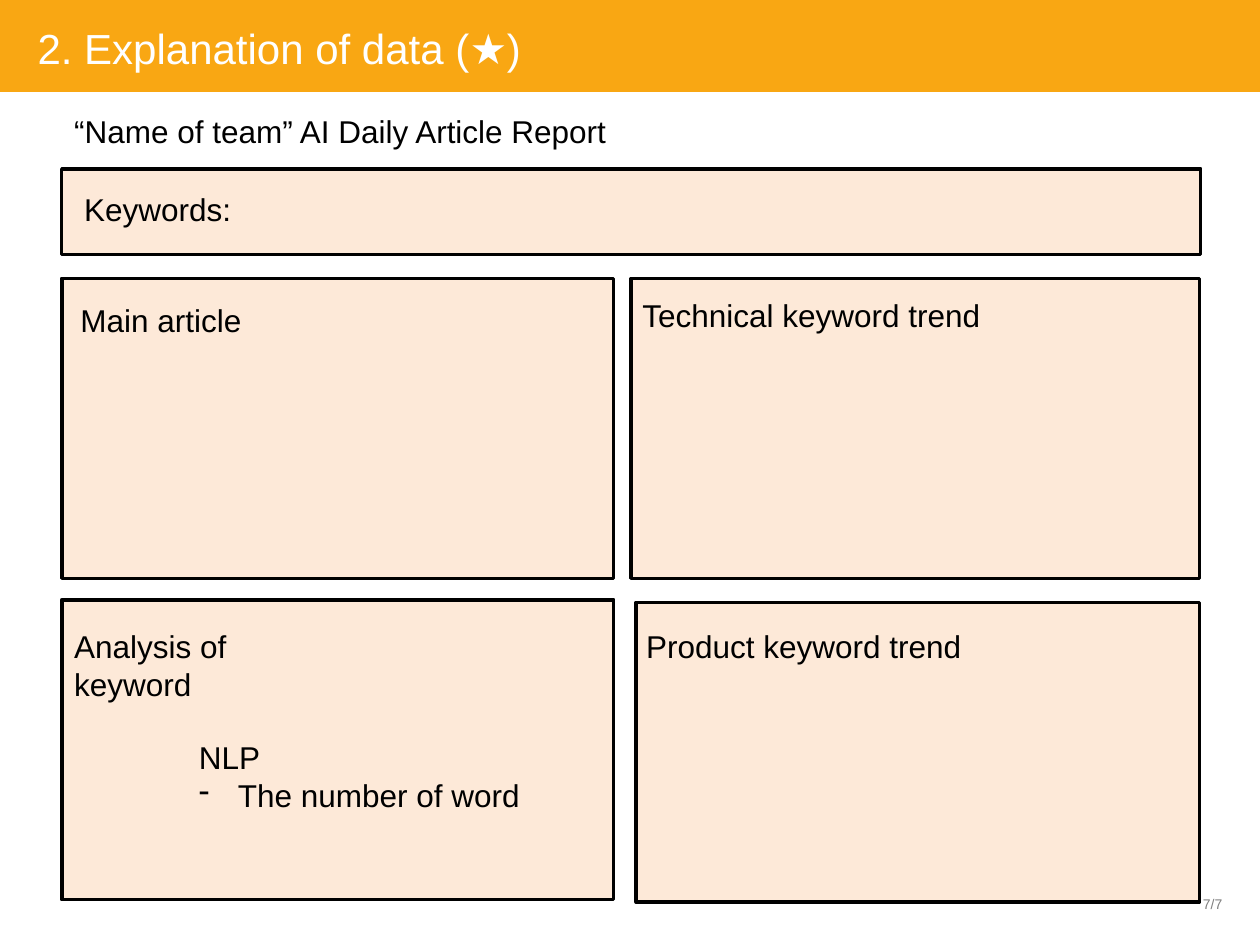
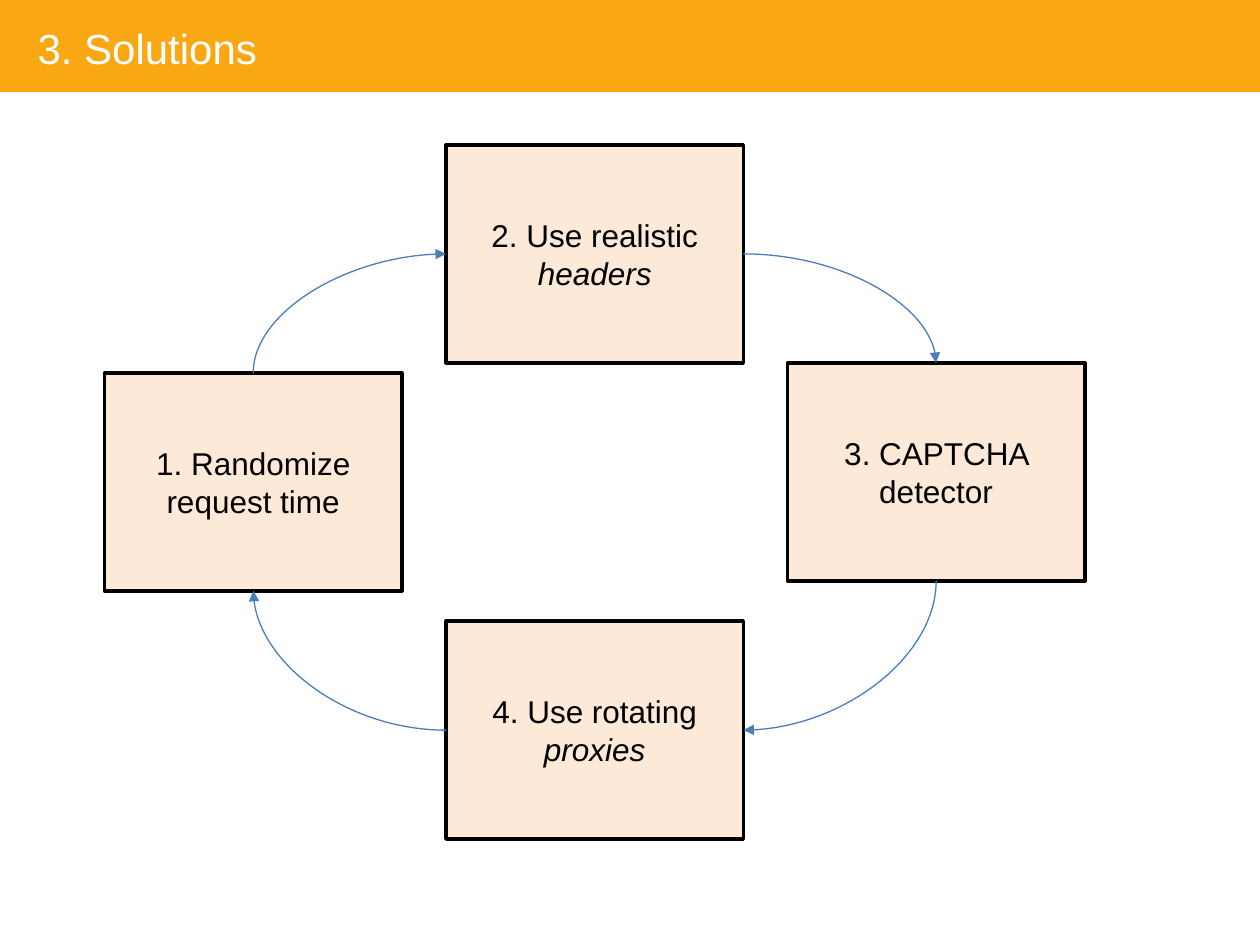
"""Build the data explanation slide and the solutions cycle slide."""
import lxml.etree
import pptx
import pptx.dml.color
import pptx.enum.shapes
import pptx.enum.text
import pptx.oxml.ns
import pptx.util

Inches, Pt = pptx.util.Inches, pptx.util.Pt
ALIGN = pptx.enum.text.PP_ALIGN
ANCHOR = pptx.enum.text.MSO_ANCHOR
qn = pptx.oxml.ns.qn

ORANGE, PEACH, BLUE = "F9A713", "FDE9D8", "4A7DBA"
TITLE = {"size": 24, "color": "FFFFFF", "align": ALIGN.LEFT}
BODY = {"size": 18, "color": "000000", "align": ALIGN.LEFT}
STEP = {"size": 18, "color": "000000", "align": ALIGN.CENTER}
FOOTER = {"size": 8, "color": "7F7F7F", "align": ALIGN.RIGHT}
FRAME = {"word_wrap": True, "margin_left": Inches(0.1), "margin_right": Inches(0.1),
         "margin_top": Inches(0.05), "margin_bottom": Inches(0.05)}


def rgb(value):
    return pptx.dml.color.RGBColor.from_string(value)


def place(slide, at, text="", style=BODY, fill=None, outline=None):
    box = [Inches(length) for length in at]
    if fill:
        shape = slide.shapes.add_shape(pptx.enum.shapes.MSO_SHAPE.RECTANGLE, *box)
        shape.shadow.inherit = False
        shape.fill.solid()
        shape.fill.fore_color.rgb = rgb(fill)
        if outline:
            shape.line.color.rgb = rgb(outline)
            shape.line.width = Pt(2)
        else:
            shape.line.fill.background()
    else:
        shape = slide.shapes.add_textbox(*box)
    frame = shape.text_frame
    for attribute, value in FRAME.items():
        setattr(frame, attribute, value)
    frame.vertical_anchor = ANCHOR.MIDDLE if fill else ANCHOR.TOP
    if text:
        frame.text = text
        for paragraph in frame.paragraphs:
            paragraph.alignment = style["align"]
            font_format = {"name": "Arial", "size": Pt(style["size"])}
            for attribute, value in font_format.items():
                setattr(paragraph.font, attribute, value)
            paragraph.font.color.rgb = rgb(style["color"])
    return shape


deck = pptx.Presentation()
deck.slide_width, deck.slide_height = Inches(10), Inches(7.5)

slides = []
for heading in ["2. Explanation of data (★)", "3. Solutions"]:
    slide = deck.slides.add_slide(deck.slide_layouts[6])
    place(slide, (0, -0.03, 10, 0.76), fill=ORANGE)
    place(slide, (0.2, 0.13, 5.35, 0.6), heading, TITLE)
    slides.append(slide)
report, solutions = slides

place(report, (8.07, 7.06, 1.73, 0.24), "7/7", FOOTER)
panels = [
    (0.49, 1.34, 9.04, 0.68),
    (0.49, 2.21, 4.38, 2.38),
    (0.49, 4.76, 4.38, 2.38),
    (5.01, 2.21, 4.51, 2.38),
    (5.05, 4.78, 4.47, 2.38),
]
for panel in panels:
    place(report, panel, fill=PEACH, outline="000000")

labels = [
    ((0.49, 0.84, 4.67, 0.4), "“Name of team” AI Daily Article Report"),
    ((0.57, 1.46, 1.44, 0.4), "Keywords:"),
    ((0.54, 2.34, 1.6, 0.4), "Main article"),
    ((5, 2.3, 3, 0.4), "Technical keyword trend"),
    ((0.49, 4.93, 2.3, 0.4), "Analysis of keyword"),
    ((5.03, 4.93, 2.8, 0.4), "Product keyword trend"),
]
for at, label in labels:
    place(report, at, label)

nlp = place(report, (1.48, 5.81, 2.85, 0.71), "NLP\nThe number of word")
word_count = nlp.text_frame.paragraphs[1]._p.get_or_add_pPr()
word_count.set("marL", str(Inches(0.31)))
word_count.set("indent", str(-Inches(0.31)))
bullet = lxml.etree.Element(qn("a:buChar"), char="-")
word_count.insert(0, bullet)

steps = []
for left, top, wording, emphasis in [
    (0.83, 2.96, "1. Randomize request time", ""),
    (3.54, 1.15, "2. Use realistic ", "headers"),
    (6.25, 2.88, "3. CAPTCHA detector", ""),
    (3.54, 4.93, "4. Use rotating ", "proxies"),
]:
    step = place(solutions, (left, top, 2.36, 1.73), wording, STEP, PEACH, "000000")
    if emphasis:
        term = step.text_frame.paragraphs[0].add_run()
        term.text = emphasis
        term.font.italic = True
    steps.append(step)

TOP, LEFT, BOTTOM, RIGHT = range(4)
turns = [(TOP, LEFT, 270), (RIGHT, TOP, 0), (BOTTOM, RIGHT, 90), (LEFT, BOTTOM, 180)]
for index, (exit_side, entry_side, angle) in enumerate(turns):
    arrow = solutions.shapes.add_connector(pptx.enum.shapes.MSO_CONNECTOR.CURVE, 0, 0, 0, 0)
    arrow.begin_connect(steps[index], exit_side)
    arrow.end_connect(steps[(index + 1) % len(steps)], entry_side)
    middle_x = (arrow.begin_x + arrow.end_x) // 2
    middle_y = (arrow.begin_y + arrow.end_y) // 2
    width, height = arrow.width, arrow.height
    if angle % 180:
        width, height = height, width
    extent = {"left": middle_x - width // 2, "top": middle_y - height // 2,
              "width": width, "height": height}
    for attribute, value in extent.items():
        setattr(arrow, attribute, value)
    properties = arrow._element.spPr
    transform = properties.find(qn("a:xfrm"))
    for attribute, value in {"rot": angle * 60000, "flipH": 0, "flipV": 0}.items():
        transform.set(attribute, str(value))
    properties.find(qn("a:prstGeom")).set("prst", "curvedConnector2")
    arrow.line.color.rgb = rgb(BLUE)
    arrow.line.width = Pt(0.75)
    lxml.etree.SubElement(arrow.line._get_or_add_ln(), qn("a:tailEnd"), type="triangle")
    lxml.etree.SubElement(properties, qn("a:effectLst"))

deck.save("out.pptx")
